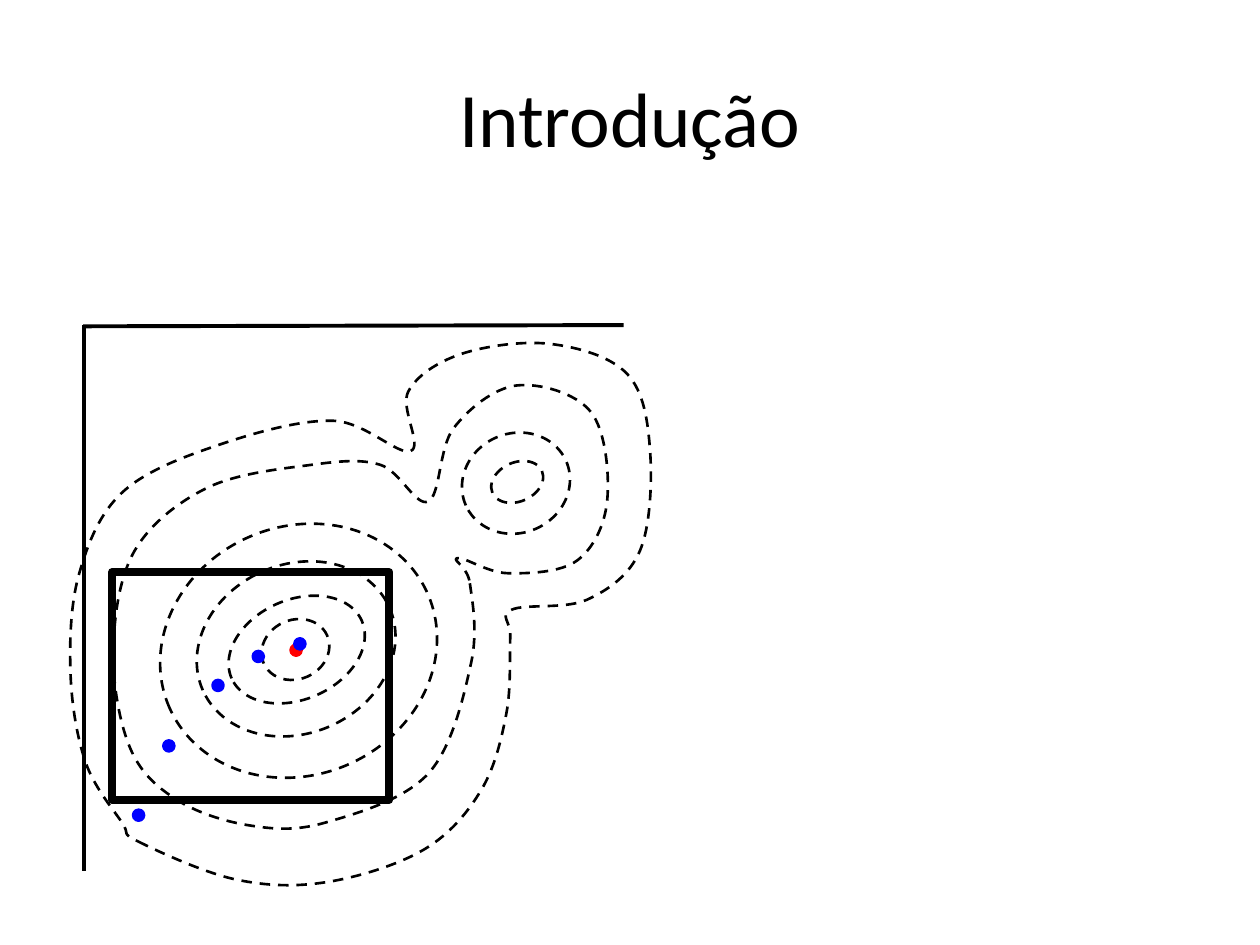
import dataclasses
import typing

import pptx
import pptx.dml.color
import pptx.enum.dml
import pptx.enum.shapes
import pptx.enum.text
import pptx.oxml
import pptx.oxml.ns
import pptx.util

Inches = pptx.util.Inches
OVAL = pptx.enum.shapes.MSO_SHAPE.OVAL
RECT = pptx.enum.shapes.MSO_SHAPE.RECTANGLE
Point = tuple[float, float]


@dataclasses.dataclass(frozen=True)
class Theme:
    font: str = "Calibri"
    title: float = 44
    ink: str = "000000"
    goal: str = "FF0000"
    step: str = "0000FF"
    frame: float = 4.5
    axis: float = 2.25
    ring: float = 1.5
    dot: float = 2


class Box(typing.NamedTuple):
    left: float
    top: float
    width: float
    height: float


class Axis(typing.NamedTuple):
    start: Point
    end: Point


THEME = Theme()
TILT = 336.1  # every ring leans the same way, in degrees
SPOT = 0.08  # width of a dot

TITLE = Box(0.5, 0.3, 9, 1.25)
FRAME = Box(0.89, 4.54, 2.2, 1.81)
AXES = [Axis((0.67, 2.58), (0.67, 6.91)), Axis((4.95, 2.58), (0.66, 2.59))]

# Level lines around one peak, from the top of the hill outwards
MAIN_PEAK = [
    Box(2.07, 4.92, 0.55, 0.47),
    Box(1.79, 4.76, 1.13, 0.79),
    Box(1.54, 4.48, 1.62, 1.34),
    Box(1.25, 4.18, 2.24, 1.97),
]
SIDE_PEAK = [Box(3.89, 3.67, 0.43, 0.31), Box(3.66, 3.44, 0.87, 0.79)]

# Level lines around both peaks: only the points that the line runs through
INNER = [
    (3.73, 4.63), (3.74, 5.26), (3.4, 6.14), (2.58, 6.53), (1.97, 6.55),
    (1.39, 6.34), (1.03, 5.93), (0.9, 5.16), (1.07, 4.37), (1.65, 3.87),
    (2.47, 3.69), (3.02, 3.69), (3.4, 3.98), (3.6, 3.4), (4.1, 3.06),
    (4.69, 3.27), (4.82, 3.97), (4.58, 4.45), (4.03, 4.55), (3.63, 4.43),
]
OUTER = [
    (1.1, 6.68), (1.87, 6.98), (2.6, 7), (3.37, 6.74), (3.82, 6.27),
    (4.02, 5.66), (4.05, 5.06), (4.06, 4.84), (4.66, 4.76), (5.08, 4.37),
    (5.16, 3.58), (4.98, 2.97), (4.37, 2.73), (3.66, 2.81), (3.24, 3.11),
    (3.26, 3.58), (2.65, 3.34), (1.77, 3.52), (0.98, 3.9), (0.63, 4.55),
    (0.56, 5.34), (0.68, 6.05), (0.97, 6.53),
]

# The optimum, and the search steps that climb to it
GOAL = (2.31, 5.12)
STEPS = [(1.06, 6.43), (1.3, 5.88), (1.69, 5.4), (2.01, 5.17), (2.34, 5.07)]


def rgb(code: str) -> pptx.dml.color.RGBColor:
    return pptx.dml.color.RGBColor.from_string(code)


def node(tag: str):
    """Make an empty drawing element."""
    return pptx.oxml.parse_xml(f"<a:{tag} {pptx.oxml.ns.nsdecls('a')}/>")


def stroke(item, width: float, color: str = THEME.ink, dash: bool = False) -> None:
    item.line.width = pptx.util.Pt(width)
    item.line.color.rgb = rgb(color)
    if dash:
        item.line.dash_style = pptx.enum.dml.MSO_LINE.DASH


def clear(item) -> None:
    item.shadow.inherit = False
    item.fill.background()


def add_shape(shapes, kind, box: Box):
    item = shapes.add_shape(kind, *map(Inches, box))
    clear(item)
    return item


def add_title(shapes, box: Box, text: str) -> None:
    frame = shapes.add_textbox(*map(Inches, box)).text_frame
    frame.word_wrap = True
    frame.vertical_anchor = pptx.enum.text.MSO_ANCHOR.MIDDLE
    para = frame.paragraphs[0]
    para.alignment = pptx.enum.text.PP_ALIGN.CENTER
    run = para.add_run()
    run.text = text
    run.font.name = THEME.font
    run.font.size = pptx.util.Pt(THEME.title)
    run.font.color.rgb = rgb(THEME.ink)


def add_axis(shapes, axis: Axis) -> None:
    ends = map(Inches, axis.start + axis.end)
    line = shapes.add_connector(pptx.enum.shapes.MSO_CONNECTOR.STRAIGHT, *ends)
    stroke(line, THEME.axis)
    line._element.spPr.append(node("effectLst"))


def add_ring(shapes, box: Box) -> None:
    ring = add_shape(shapes, OVAL, box)
    ring.rotation = TILT
    stroke(ring, THEME.ring, dash=True)


def add_dot(shapes, at: Point, color: str) -> None:
    dot = add_shape(shapes, OVAL, Box(*at, SPOT, SPOT))
    dot.fill.solid()
    dot.fill.fore_color.rgb = rgb(color)
    stroke(dot, THEME.dot, color)


def smooth(knots: list[Point]) -> list[Point]:
    """Give two handles and an end for each bend of a closed Catmull-Rom spline.

    The line leaves a knot parallel to the chord between its two neighbours;
    each handle is a sixth of that chord away from the knot.
    """
    size = len(knots)
    points = []
    for i in range(size):
        prev, here, end, after = (knots[(i + k) % size] for k in (-1, 0, 1, 2))
        out = tuple(h + (e - p) / 6 for p, h, e in zip(prev, here, end))
        back = tuple(e - (a - h) / 6 for h, e, a in zip(here, end, after))
        points += [out, back, end]
    return points


def add_curve(shapes, knots: list[Point]) -> None:
    pen = shapes.build_freeform(*map(Inches, knots[0]))
    pen.add_line_segments([tuple(map(Inches, p)) for p in smooth(knots)])
    item = pen.convert_to_shape()
    # Merge every three straight legs into one cubic bend
    legs = list(item._element.iter(pptx.oxml.ns.qn("a:lnTo")))
    for i in range(0, len(legs), 3):
        bend = node("cubicBezTo")
        legs[i].addprevious(bend)
        for leg in legs[i:i + 3]:
            bend.append(leg[0])
            leg.getparent().remove(leg)
    clear(item)
    stroke(item, THEME.ring, dash=True)


def main() -> None:
    deck = pptx.Presentation()
    deck.slide_width, deck.slide_height = Inches(10), Inches(7.5)
    slide = deck.slides.add_slide(deck.slide_layouts[6])

    # Search window and title
    stroke(add_shape(slide.shapes, RECT, FRAME), THEME.frame)
    add_title(slide.shapes, TITLE, "Introdução")

    # Contour plot
    plot = slide.shapes.add_group_shape().shapes
    for axis in AXES:
        add_axis(plot, axis)
    for box in MAIN_PEAK + SIDE_PEAK:
        add_ring(plot, box)
    for knots in (INNER, OUTER):
        add_curve(plot, knots)

    # Search path
    add_dot(plot, GOAL, THEME.goal)
    for at in STEPS:
        add_dot(plot, at, THEME.step)

    deck.save("out.pptx")


if __name__ == "__main__":
    main()
